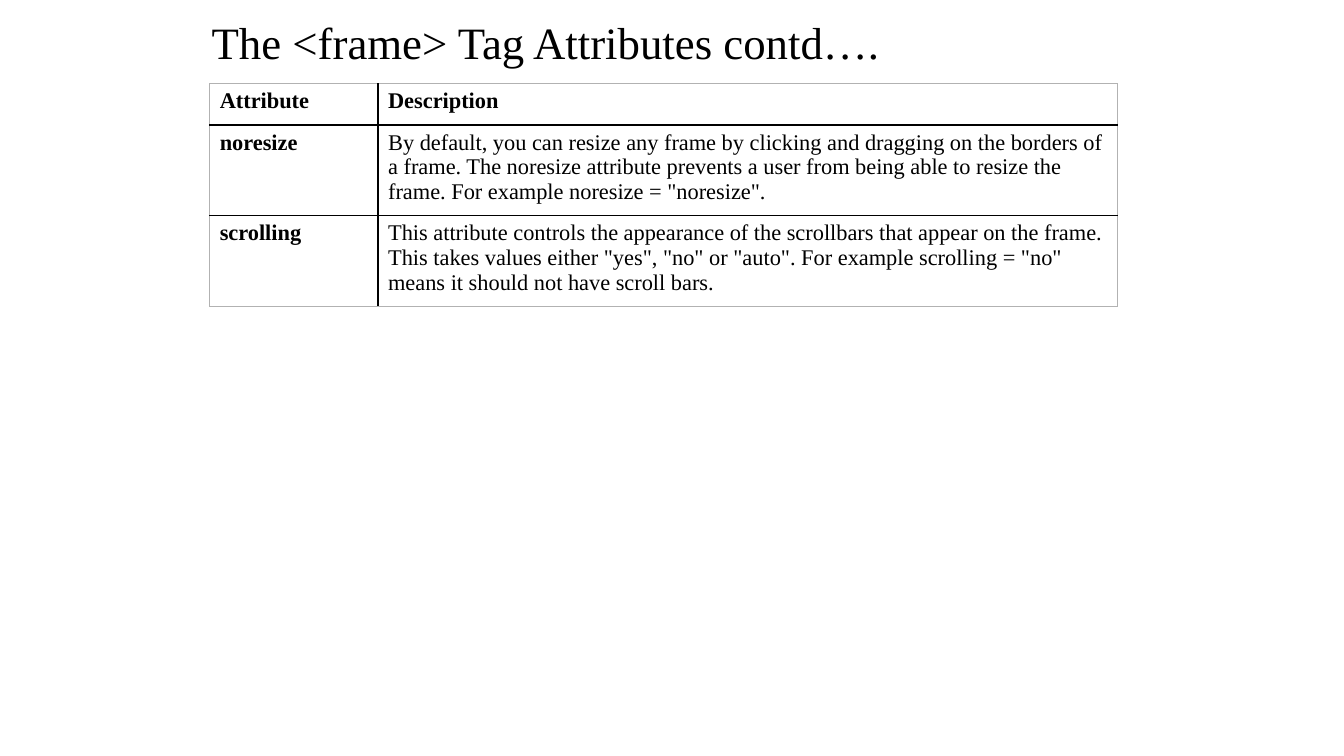
from lxml import etree
from pptx import Presentation
from pptx.dml.color import RGBColor
from pptx.enum import text
from pptx.oxml import ns
from pptx.util import Inches, Pt

BLACK, GREY = "000000", "B2B2B2"


def style(para, size, bold=False):
    para.font.name = "Times New Roman"
    para.font.size = Pt(size)
    para.font.bold = bold
    para.font.color.rgb = RGBColor.from_string(BLACK)


def add_border(cell, side, color):
    line = etree.SubElement(cell._tc.get_or_add_tcPr(), ns.qn(f"a:{side}"), w=str(Pt(1)))
    fill = etree.SubElement(line, ns.qn("a:solidFill"))
    etree.SubElement(fill, ns.qn("a:srgbClr"), val=color)


deck = Presentation()
deck.slide_width, deck.slide_height = Inches(13.33), Inches(7.5)
page = deck.slides.add_slide(deck.slide_layouts[6])

# Title
title = page.shapes.add_textbox(Inches(2), Inches(0.17), Inches(9), Inches(0.55))
frame = title.text_frame
frame.word_wrap = True
frame.vertical_anchor = text.MSO_ANCHOR.MIDDLE
frame.text = "The <frame> Tag Attributes contd…."
frame.paragraphs[0].line_spacing = 0.9
style(frame.paragraphs[0], 32)

# Attribute table
rows = [
    ("Attribute", "Description"),
    ("noresize", "By default, you can resize any frame by clicking and dragging on the borders of "
     "a frame. The noresize attribute prevents a user from being able to resize the frame. "
     'For example noresize = "noresize".'),
    ("scrolling", "This attribute controls the appearance of the scrollbars that appear on the frame. "
     'This takes values either "yes", "no" or "auto". For example scrolling = "no" '
     "means it should not have scroll bars."),
]
table = page.shapes.add_table(3, 2, Inches(2.08), Inches(0.83), Inches(9), Inches(2.09)).table
for column, width in zip(table.columns, (1.67, 7.33)):
    column.width = Inches(width)
for row, height in zip(table.rows, (0.41, 0.84, 0.84)):
    row.height = Inches(height)

# Cell text, with grey outer and black inner borders
for r, row in enumerate(rows):
    for c, words in enumerate(row):
        cell = table.cell(r, c)
        cell.text = words
        style(cell.text_frame.paragraphs[0], 16, bold=r == 0 or c == 0)
        outer = {"lnL": c == 0, "lnR": c == 1, "lnT": r == 0, "lnB": r == 2}
        for side, is_outer in outer.items():
            add_border(cell, side, GREY if is_outer else BLACK)
        cell.fill.background()

deck.save("out.pptx")
